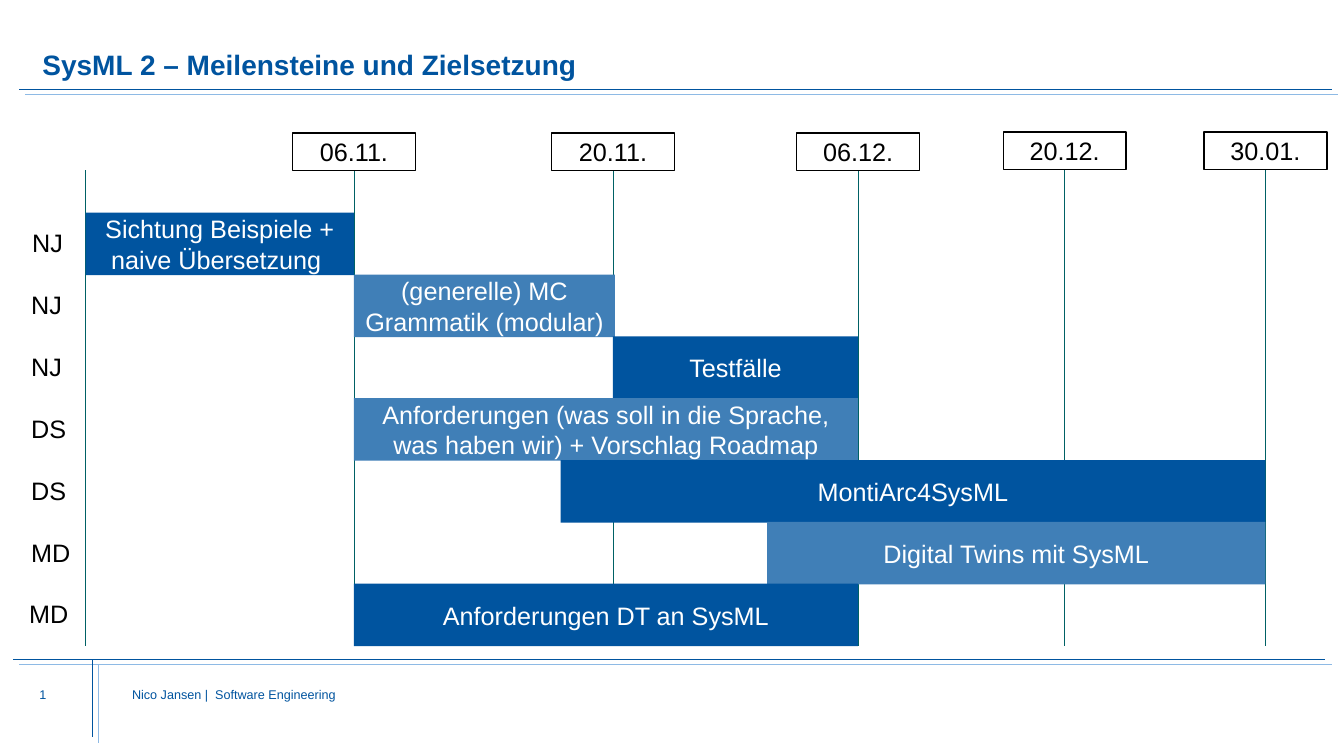
"""Build the SysML 2 milestone timeline slide."""
from lxml import etree
from pptx import Presentation
from pptx import util as u
from pptx.dml.color import RGBColor
from pptx.enum import shapes, text
from pptx.oxml.ns import qn

BLUE = RGBColor(0x00, 0x54, 0x9F)
MID_BLUE = RGBColor(0x40, 0x7F, 0xB7)
LIGHT_BLUE = RGBColor(0x8E, 0xBA, 0xE5)
TEAL = RGBColor(0x00, 0x61, 0x65)
BLACK = RGBColor(0, 0, 0)
WHITE = RGBColor(0xFF, 0xFF, 0xFF)

START = 0.85
CHART_BOTTOM = 6.41
ROW_TOP, ROW_STEP, BAR_HEIGHT = 2.11, 0.6135, 0.62
DATE_WIDTH, DATE_HEIGHT = 1.22, 0.37

MILESTONES = [
    ("06.11.", 3.51, 1.32),
    ("20.11.", 6.08, 1.32),
    ("06.12.", 8.51, 1.32),
    ("20.12.", 10.56, 1.31),
    ("30.01.", 12.55, 1.31),
]
TASKS = [
    ("NJ", 0.22, "Sichtung Beispiele + naive Übersetzung ", START, 3.51, BLUE),
    ("NJ", 0.21, "(generelle) MC Grammatik (modular)", 3.51, 6.1, MID_BLUE),
    ("NJ", 0.21, "Testfälle", 6.08, 8.51, BLUE),
    ("DS", 0.21, "Anforderungen (was soll in die Sprache, was haben wir) + Vorschlag Roadmap",
     3.51, 8.51, MID_BLUE),
    ("DS", 0.21, "MontiArc4SysML", 5.56, 12.55, BLUE),
    ("MD", 0.21, "Digital Twins mit SysML", 7.61, 12.55, MID_BLUE),
    ("MD", 0.19, "Anforderungen DT an SysML", 3.51, 8.51, BLUE),
]
FRAME_LINES = [
    (0.19, 0.89, 13.21, 0.89, BLUE),
    (0.25, 0.94, 13.27, 0.94, LIGHT_BLUE),
    (0.13, 6.54, 13.14, 6.54, BLUE),
    (0.19, 6.59, 13.21, 6.59, LIGHT_BLUE),
    (0.92, 6.54, 0.92, 7.31, BLUE),
    (0.98, 6.6, 0.98, 7.37, LIGHT_BLUE),
]


def write_text(frame, content, size=18, color=BLACK, bold=False, align=None,
               anchor=text.MSO_ANCHOR.TOP, wrap=True, insets=True, spacing=None):
    frame.word_wrap = wrap
    frame.auto_size = text.MSO_AUTO_SIZE.NONE
    frame.vertical_anchor = anchor
    if not insets:
        frame.margin_left = frame.margin_right = 0
        frame.margin_top = frame.margin_bottom = 0
    paragraph = frame.paragraphs[0]
    paragraph.alignment = align
    paragraph.line_spacing = spacing
    run = paragraph.add_run()
    run.text = content
    run.font.name = "Arial"
    run.font.size = u.Pt(size)
    run.font.bold = bold
    run.font.color.rgb = color


class TimelineSlide:
    def __init__(self, presentation):
        self.slide = presentation.slides.add_slide(presentation.slide_layouts[5])

    def title(self, content):
        shape = self.slide.shapes.title
        shape.left, shape.top = u.Inches(0.42), u.Inches(0.22)
        shape.width, shape.height = u.Inches(12.56), u.Inches(0.59)
        write_text(shape.text_frame, content, size=20, color=BLUE, bold=True,
                   align=text.PP_ALIGN.LEFT, anchor=text.MSO_ANCHOR.BOTTOM,
                   insets=False, spacing=0.9)

    def line(self, x1, y1, x2, y2, color):
        connector = self.slide.shapes.add_connector(
            shapes.MSO_CONNECTOR.STRAIGHT,
            u.Inches(x1), u.Inches(y1), u.Inches(x2), u.Inches(y2))
        connector.line.color.rgb = color
        connector.line.width = u.Pt(0.5)
        etree.SubElement(connector._element.spPr, qn("a:effectLst"))

    def box(self, content, left, top, width, height, fill=None):
        shape = self.slide.shapes.add_shape(
            shapes.MSO_SHAPE.RECTANGLE,
            u.Inches(left), u.Inches(top), u.Inches(width), u.Inches(height))
        shape.shadow.inherit = False
        if fill is None:
            shape.fill.background()
            shape.line.color.rgb = BLACK
            shape.line.width = u.Pt(1)
        else:
            shape.fill.solid()
            shape.fill.fore_color.rgb = fill
            shape.line.fill.background()
        write_text(shape.text_frame, content, color=WHITE if fill else BLACK,
                   align=text.PP_ALIGN.CENTER, anchor=text.MSO_ANCHOR.MIDDLE)

    def label(self, content, left, top, width, height, **style):
        shape = self.slide.shapes.add_textbox(
            u.Inches(left), u.Inches(top), u.Inches(width), u.Inches(height))
        write_text(shape.text_frame, content, **style)


def main():
    presentation = Presentation()
    presentation.slide_width = u.Inches(13.33)
    presentation.slide_height = u.Inches(7.5)
    timeline = TimelineSlide(presentation)

    for frame_line in FRAME_LINES:
        timeline.line(*frame_line)
    timeline.title("SysML 2 – Meilensteine und Zielsetzung")
    timeline.label("Nico Jansen |  Software Engineering", 1.31, 6.81, 7.66, 0.69,
                   size=9, color=BLUE, insets=False)
    timeline.label("1", 0.39, 6.81, 0.8, 0.43, size=9, color=BLUE, insets=False)

    timeline.line(START, 1.69, START, CHART_BOTTOM, TEAL)
    for date, x, top in MILESTONES:
        timeline.line(x, top + DATE_HEIGHT, x, CHART_BOTTOM, TEAL)
        timeline.box(date, x - DATE_WIDTH / 2, top, DATE_WIDTH, DATE_HEIGHT)

    for row, (owner, owner_left, task, start, end, color) in enumerate(TASKS):
        top = ROW_TOP + row * ROW_STEP
        timeline.label(owner, owner_left, top + 0.1, 0.55, 0.4, wrap=False)
        timeline.box(task, start, top, end - start, BAR_HEIGHT, fill=color)

    presentation.save("out.pptx")


if __name__ == "__main__":
    main()
